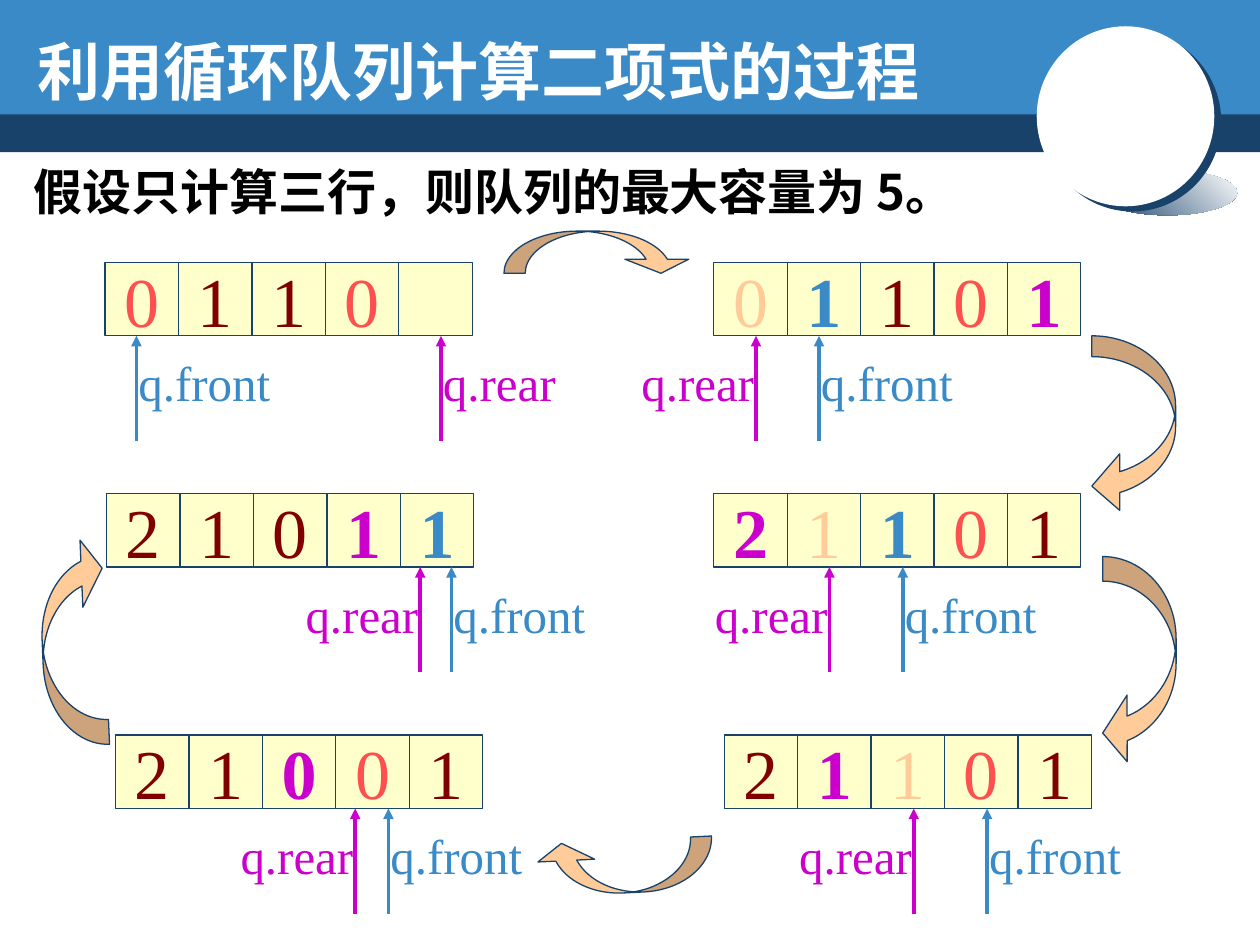
from dataclasses import dataclass

from lxml import etree
from pptx import Presentation
from pptx.dml.color import RGBColor
from pptx.enum.shapes import MSO_CONNECTOR, MSO_SHAPE
from pptx.enum.text import MSO_ANCHOR, MSO_AUTO_SIZE, PP_ALIGN
from pptx.oxml.ns import qn
from pptx.util import Cm, Pt

RECTANGLE, ELLIPSE = MSO_SHAPE.RECTANGLE, MSO_SHAPE.OVAL
CURVED_DOWN, CURVED_LEFT = MSO_SHAPE.CURVED_DOWN_ARROW, MSO_SHAPE.CURVED_LEFT_ARROW
STRAIGHT = MSO_CONNECTOR.STRAIGHT
TOP, MIDDLE = MSO_ANCHOR.TOP, MSO_ANCHOR.MIDDLE
LEFT, CENTER = PP_ALIGN.LEFT, PP_ALIGN.CENTER
NO_AUTO_SIZE = MSO_AUTO_SIZE.NONE


@dataclass(frozen=True)
class Theme:
    blue: str = "398AC7"
    navy: str = "19426B"
    white: str = "FFFFFF"
    black: str = "000000"
    cell: str = "FFFFCC"
    peach: str = "FFCC99"
    magenta: str = "CC00CC"
    maroon: str = "800000"
    red: str = "FF5050"
    latin: str = "Times New Roman"
    chinese: str = "Noto Sans CJK SC"
    title_size: int = 36
    text_size: int = 28
    digit_size: int = 40
    outline: float = 0.75
    pointer: float = 2


THEME = Theme()

# Mark after each digit: colour and weight of the cell text
CELL_STYLES = {
    "n": (THEME.maroon, False),
    "z": (THEME.red, False),
    "p": (THEME.peach, False),
    "f": (THEME.blue, True),
    "r": (THEME.magenta, True),
}
CELL_SIZE = 1.48
POINTER_LENGTH = 2.12
LABEL_INSET = 0.21
LABEL_HEIGHT = 1.44
FRONT_WIDTH, REAR_WIDTH = 3.18, 2.8

# left, top, cells, front x, rear x, whether the rear label is right of its pointer
QUEUES = [
    (2.12, 5.29, ["0z", "1n", "1n", "0z", ""], 2.75, 8.89, True),
    (14.39, 5.29, ["0p", "1f", "1n", "0z", "1r"], 16.51, 15.24, False),
    (14.39, 9.95, ["2r", "1p", "1f", "0z", "1n"], 18.2, 16.72, False),
    (14.6, 14.82, ["2n", "1r", "1p", "0z", "1n"], 19.9, 18.42, False),
    (2.33, 14.82, ["2n", "1n", "0r", "0z", "1n"], 7.83, 7.16, False),
    (2.15, 9.95, ["2n", "1n", "0n", "1r", "1f"], 9.1, 8.47, False),
]

# kind, box, rotation, adjustments
STEP_ARROWS = [
    (CURVED_DOWN, (10.16, 4.66, 3.81, 0.85), 0, (0.505, 1.516, 0.333)),
    (CURVED_LEFT, (22.01, 6.77, 1.69, 3.6), 0, (0.249, 0.674, 0.333)),
    (CURVED_LEFT, (0.85, 10.8, 1.27, 4.23), 177.6, (0.394, 1.065, 0.333)),
    (CURVED_LEFT, (12.04, 15.67, 1.06, 3.6), 87.2, (0.399, 1.079, 0.333)),
    (CURVED_LEFT, (22.23, 11.22, 1.48, 4.23), 0, (0.335, 0.907, 0.333)),
]


def color(value):
    return RGBColor.from_string(value)


def apply(target, values):
    for name, value in values.items():
        setattr(target, name, value)


class SlideBuilder:
    def __init__(self, slide, theme):
        self.slide = slide
        self.theme = theme

    def shape(self, kind, box, fill, outlined=False):
        shape = self.slide.shapes.add_shape(kind, *map(Cm, box))
        shape.shadow.inherit = False
        shape.fill.solid()
        shape.fill.fore_color.rgb = color(fill)
        if outlined:
            shape.line.color.rgb = color(self.theme.navy)
            shape.line.width = Pt(self.theme.outline)
        else:
            shape.line.fill.background()
        return shape

    def put_text(self, shape, text, size, text_color, bold=False, wrap=False,
                 align=LEFT, anchor=TOP, latin=None):
        frame = shape.text_frame
        apply(frame, {"word_wrap": wrap, "vertical_anchor": anchor,
                      "auto_size": NO_AUTO_SIZE})
        paragraph = frame.paragraphs[0]
        apply(paragraph, {"alignment": align, "space_before": Pt(0)})
        run = paragraph.add_run()
        run.text = text
        apply(run.font, {"size": Pt(size), "bold": bold,
                         "name": latin or self.theme.latin})
        run.font.color.rgb = color(text_color)
        east_asian = etree.SubElement(run.font._element, qn("a:ea"))
        east_asian.set("typeface", self.theme.chinese)
        return paragraph

    def placeholder(self, index, box, text, **style):
        """Fill a template placeholder and bring it in front of the banner."""
        shape = self.slide.placeholders[index]
        apply(shape, dict(zip(("left", "top", "width", "height"), map(Cm, box))))
        self.slide.shapes.element.append(shape.element)
        paragraph = self.put_text(shape, text, bold=True, **style)
        properties = paragraph._p.get_or_add_pPr()
        properties.set("marL", "0")
        properties.set("indent", "0")
        etree.SubElement(properties, qn("a:buNone"))

    def label(self, box, text, text_color):
        text_box = self.slide.shapes.add_textbox(*map(Cm, box))
        self.put_text(text_box, text, self.theme.text_size, text_color)

    def pointer(self, x, tip, line_color):
        connector = self.slide.shapes.add_connector(
            STRAIGHT, Cm(x), Cm(tip + POINTER_LENGTH), Cm(x), Cm(tip))
        connector.line.color.rgb = color(line_color)
        connector.line.width = Pt(self.theme.pointer)
        line = connector.line._get_or_add_ln()
        etree.SubElement(line, qn("a:tailEnd")).set("type", "triangle")
        etree.SubElement(connector._element.spPr, qn("a:effectLst"))

    def banner(self):
        theme = self.theme
        self.shape(RECTANGLE, (0, 2.21, 25.4, 0.86), theme.navy)
        self.shape(RECTANGLE, (0, 0, 25.4, 2.31), theme.blue)
        ground = self.shape(ELLIPSE, (22.12, 3.43, 2.82, 0.91), theme.navy)
        ground.fill.gradient()
        ground.fill.gradient_angle = 45
        for stop, stop_color in zip(ground.fill.gradient_stops, (theme.navy, theme.white)):
            stop.color.rgb = color(stop_color)
        disc = self.shape(ELLIPSE, (20.9, 0.53, 3.58, 3.63), theme.white)
        effects = disc._element.spPr.find(qn("a:effectLst"))
        shadow = etree.SubElement(effects, qn("a:outerShdw"))
        for name, value in {"dist": Pt(5), "dir": 37 * 60000, "rotWithShape": 0}.items():
            shadow.set(name, str(int(value)))
        etree.SubElement(shadow, qn("a:srgbClr")).set("val", theme.navy)
        self.shape(ELLIPSE, (22.1, 1.8, 1.27, 1.24), theme.white)

    def queue(self, left, top, cells, front, rear, rear_label_right):
        theme = self.theme
        for column, cell in enumerate(cells):
            box = (left + column * CELL_SIZE, top, CELL_SIZE, CELL_SIZE)
            shape = self.shape(RECTANGLE, box, theme.cell, outlined=True)
            if cell:
                digit, mark = cell
                digit_color, bold = CELL_STYLES[mark]
                self.put_text(shape, digit, theme.digit_size, digit_color, bold,
                              align=CENTER, anchor=MIDDLE)
        rear_left = rear - LABEL_INSET if rear_label_right else rear + 0.24 - REAR_WIDTH
        for x, label_left, width, text, pointer_color in (
            (front, front - LABEL_INSET, FRONT_WIDTH, "q.front", theme.blue),
            (rear, rear_left, REAR_WIDTH, "q.rear", theme.magenta),
        ):
            self.pointer(x, top + CELL_SIZE, pointer_color)
            self.label((label_left, top + 1.7, width, LABEL_HEIGHT), text, pointer_color)

    def step_arrow(self, kind, box, rotation, adjustments):
        arrow = self.shape(kind, box, self.theme.peach, outlined=True)
        arrow.rotation = rotation
        for index, value in enumerate(adjustments):
            arrow.adjustments[index] = value


def main():
    presentation = Presentation()
    apply(presentation, {"slide_width": Cm(25.4), "slide_height": Cm(19.05)})
    slide = presentation.slides.add_slide(presentation.slide_layouts[1])
    builder = SlideBuilder(slide, THEME)
    builder.banner()
    builder.placeholder(0, (0.51, 0.53, 18.36, 1.78), "利用循环队列计算二项式的过程",
                        size=THEME.title_size, text_color=THEME.white, anchor=MIDDLE)
    builder.placeholder(1, (0.43, 3.12, 19.35, 1.45), "假设只计算三行，则队列的最大容量为 5。",
                        size=THEME.text_size, text_color=THEME.black, wrap=True,
                        latin=THEME.chinese)
    for queue in QUEUES:
        builder.queue(*queue)
    for arrow in STEP_ARROWS:
        builder.step_arrow(*arrow)
    presentation.save("out.pptx")


if __name__ == "__main__":
    main()
